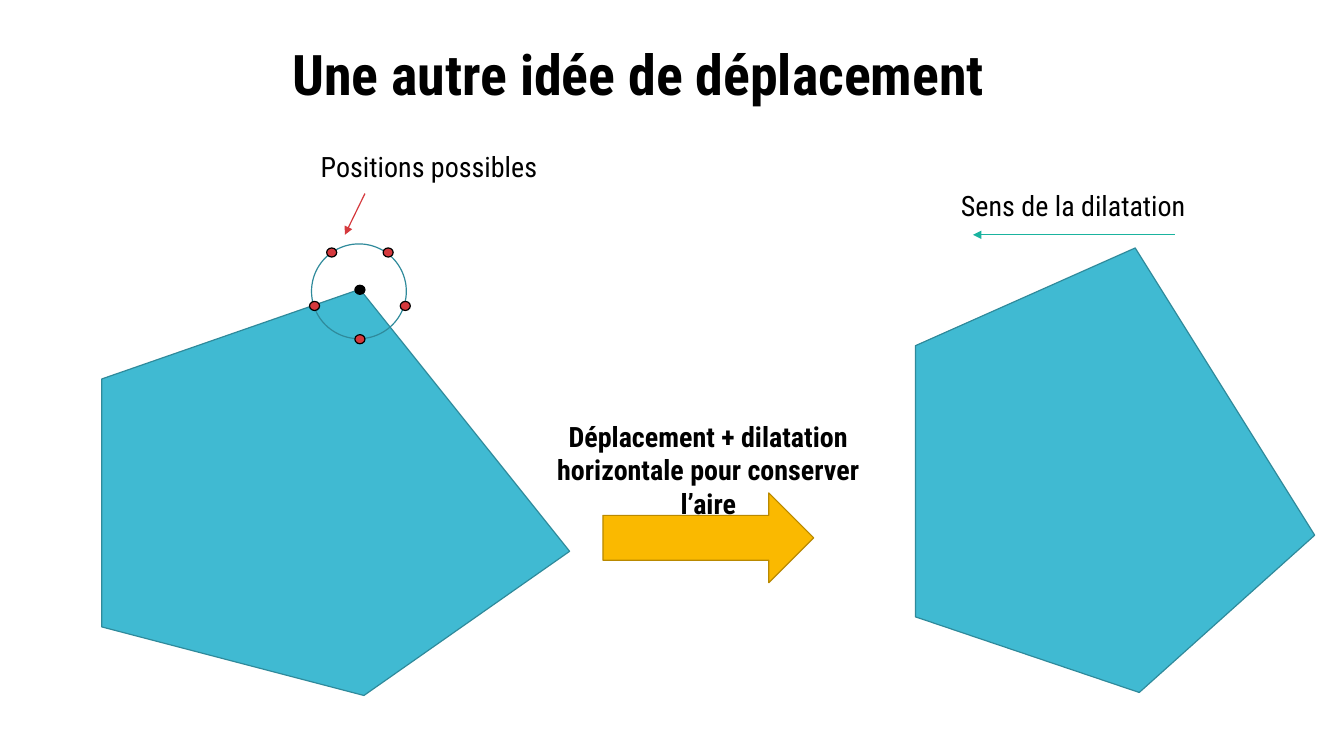
from math import cos, radians, sin

from lxml import etree
from pptx import Presentation
from pptx.dml.color import RGBColor
from pptx.enum.shapes import MSO_CONNECTOR, MSO_SHAPE
from pptx.enum.text import MSO_ANCHOR, PP_ALIGN
from pptx.oxml.ns import qn
from pptx.util import Inches, Pt

OVAL, ARROW = MSO_SHAPE.OVAL, MSO_SHAPE.RIGHT_ARROW
STRAIGHT = MSO_CONNECTOR.STRAIGHT
CENTER, TOP = PP_ALIGN.CENTER, MSO_ANCHOR.TOP

FONT = "Roboto Condensed"
COLORS = {
    "black": "000000",
    "blue": "40BAD2",
    "edge": "2F8A9B",
    "red": "D5393D",
    "gold": "FAB900",
    "bronze": "B98900",
    "green": "1AB39F",
}

# Every length counts cells of a fine square grid, 1333 columns by 750 rows.
CELL = Inches(0.01)
COLS, ROWS = 1333, 750

deck = Presentation()
deck.slide_width, deck.slide_height = COLS * CELL, ROWS * CELL
slide = deck.slides.add_slide(deck.slide_layouts[6])
shapes = slide.shapes


def write(text, left, top, width, height, size=20, bold=False):
    box = shapes.add_textbox(*(CELL * n for n in (left, top, width, height)))
    frame = box.text_frame
    frame.word_wrap = True
    frame.vertical_anchor = TOP
    para = frame.paragraphs[0]
    para.alignment = CENTER
    run = para.add_run()
    run.text = text
    run.font.name = FONT
    run.font.size = Pt(size)
    run.font.bold = bold
    run.font.color.rgb = RGBColor.from_string(COLORS["black"])


def paint(shape, fill, line):
    """Set a flat fill (None for hollow) and a thin outline, no shadow."""
    shape.shadow.inherit = False
    if fill:
        shape.fill.solid()
        shape.fill.fore_color.rgb = RGBColor.from_string(COLORS[fill])
    else:
        shape.fill.background()
    shape.line.color.rgb = RGBColor.from_string(COLORS[line])
    shape.line.width = Pt(0.85)


# Pentagons before and after the move
before = [(101, 376), (101, 622), (361, 690), (565, 547), (357, 287)]
after = [(908, 343), (908, 612), (1130, 687), (1304, 531), (1126, 246)]
for points in (before, after):
    path = shapes.build_freeform(*points[0], scale=CELL)
    path.add_line_segments(points[1:], close=True)
    paint(path.convert_to_shape(), "blue", "edge")

# Vertex, circle around it, and five evenly spaced positions
mid_x, mid_y, radius = 356, 289, 47
dot_w, dot_h = 10, 9
ovals = [
    (352, 283, dot_w, dot_h, "black", "black"),
    (mid_x - radius, mid_y - radius, 2 * radius, 2 * radius, None, "edge"),
]
for step in range(5):
    angle = radians(90 + 72 * step)
    left = round(mid_x + radius * cos(angle) - dot_w / 2) + 1
    top = round(mid_y + radius * sin(angle) - dot_h / 2)
    ovals.append((left, top, dot_w, dot_h, "red", "black"))
for *box, fill, line in ovals:
    paint(shapes.add_shape(OVAL, *(CELL * n for n in box)), fill, line)

# Block arrow between the pentagons
block = shapes.add_shape(ARROW, *(CELL * n for n in (598, 489, 209, 89)))
paint(block, "gold", "bronze")

# Thin arrows: ends, colour, width
arrows = [
    ((362, 192, 342, 233), "red", 0.85),
    ((1165, 233, 965, 233), "green", 0.75),
]
for ends, color, width in arrows:
    arrow = shapes.add_connector(STRAIGHT, *(CELL * n for n in ends))
    arrow.line.color.rgb = RGBColor.from_string(COLORS[color])
    arrow.line.width = Pt(width)
    outline = arrow.line._get_or_add_ln()
    etree.SubElement(outline, qn("a:tailEnd"), type="triangle")
    etree.SubElement(outline.getparent(), qn("a:effectLst"))

write("Une autre idée de déplacement", 101, 34, 1064, 131, size=40, bold=True)
write("Positions possibles", 253, 143, 345, 44)
write("Sens de la dilatation", 892, 182, 345, 44)
write("Déplacement + dilatation horizontale pour conserver l’aire",
      530, 411, 345, 77, bold=True)

deck.save("out.pptx")
